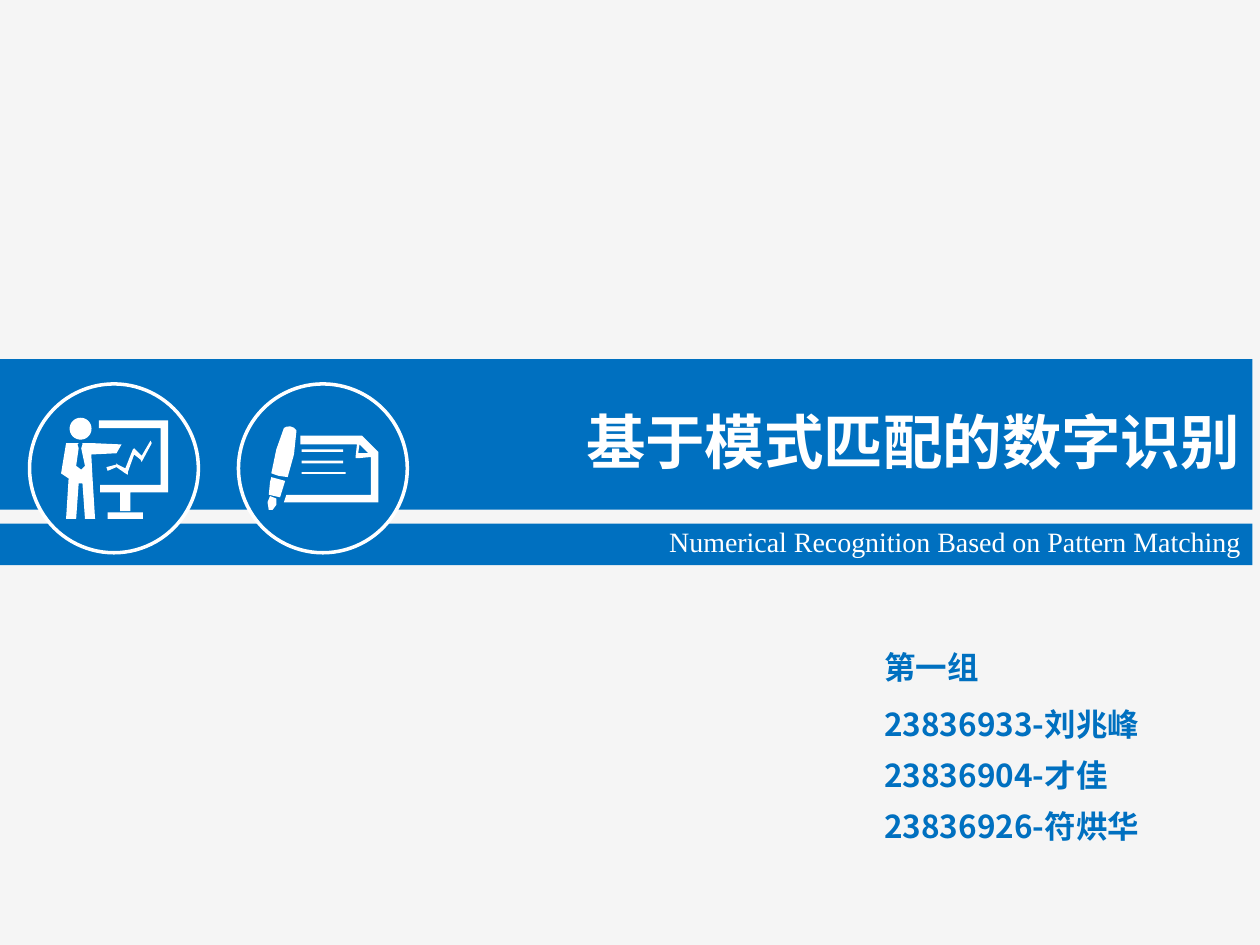
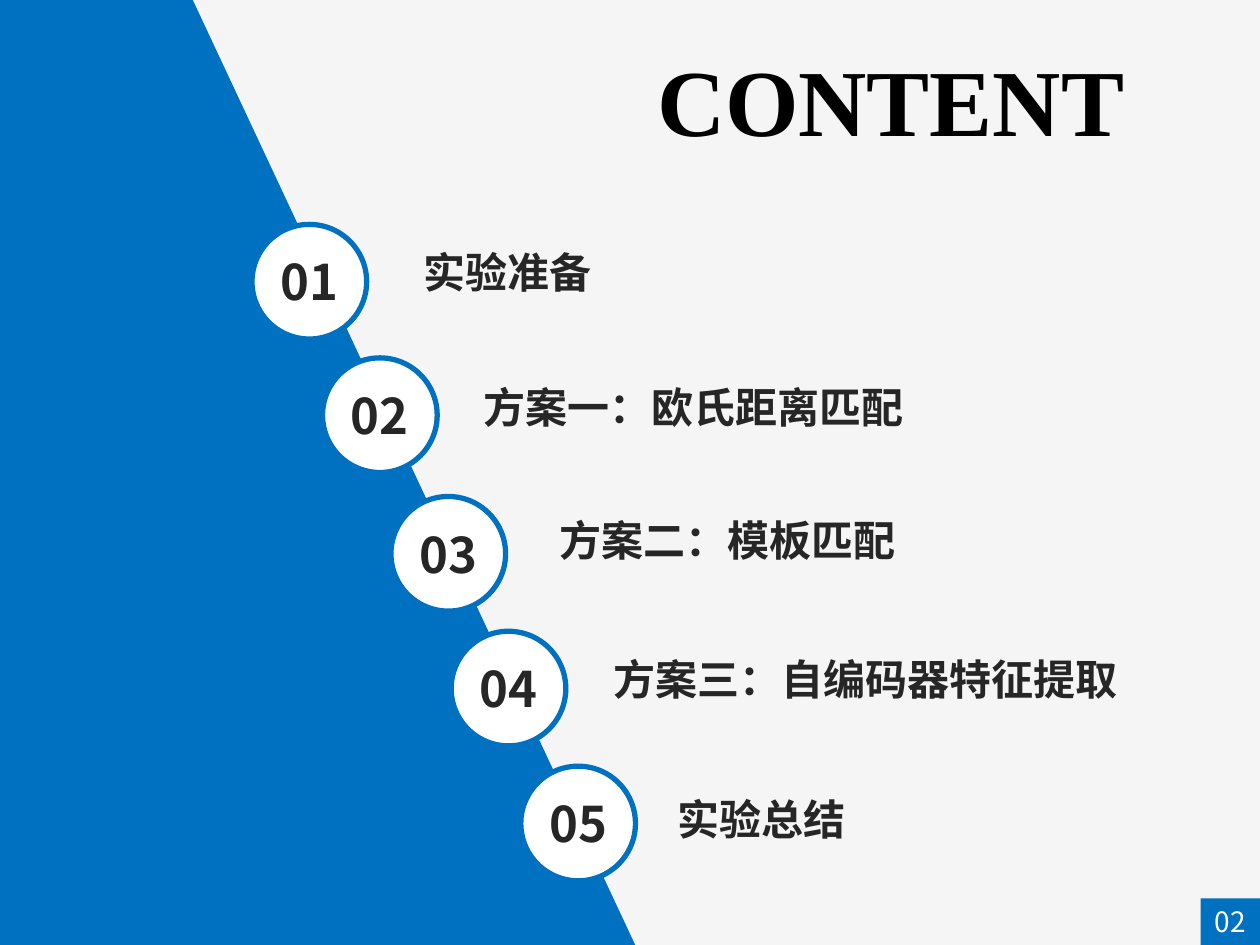
from math import cos, pi, sin

from lxml.etree import SubElement
from pptx import Presentation
from pptx.dml.color import RGBColor
from pptx.enum.shapes import MSO_SHAPE as Preset
from pptx.enum.text import MSO_ANCHOR as Anchor, MSO_AUTO_SIZE as AutoSize, PP_ALIGN as Align
from pptx.oxml.ns import qn
from pptx.util import Pt

BLUE = RGBColor(0x00, 0x70, 0xC0)
PALE = RGBColor(0xF5, 0xF5, 0xF5)
WHITE = RGBColor(0xFF, 0xFF, 0xFF)
BLACK = RGBColor(0x00, 0x00, 0x00)
DARK = RGBColor(0x26, 0x26, 0x26)
SANS = "Noto Sans CJK SC"
SERIF = "Times New Roman"
WIDTH, HEIGHT = 720, 540
TITLE_ONLY = 5
ICON_UNIT = 0.72
BADGE = 96.5
DISC = 65.5


def rectangle(left, top, right, bottom):
    return [(left, top), (right, top), (right, bottom), (left, bottom)]


def circle(x, y, radius, steps=36):
    angles = [2 * pi * step / steps for step in range(steps)]
    return [(x + radius * cos(angle), y + radius * sin(angle)) for angle in angles]


PRESENTER_ICON = [
    circle(40.5, 35.5, 8.7),
    [(61, 66), (69, 64), (69, 63), (70, 64), (76, 67), (82, 52), (83, 51), (89, 57),
     (96, 45), (97, 47), (90, 60), (89, 62), (88, 60), (83, 56), (78, 70), (78, 72),
     (76, 71), (69, 66), (62, 69)],
    rectangle(62, 102, 90, 107),
    [(80, 86), (110, 86), (110, 29), (55, 29), (55, 35), (104, 35), (104, 80), (56, 80),
     (56, 86), (72, 86), (72, 101), (80, 101)],
    [(25, 71), (31, 75), (29, 107), (37, 107), (39, 79), (42, 79), (44, 107), (52, 107),
     (50, 75), (49, 56), (69, 55), (73, 48), (51, 47), (42, 47), (42, 48), (41, 51),
     (44, 65), (41, 68), (37, 65), (39, 51), (38, 48), (39, 47), (29, 47)],
]
WRITING_ICON = [
    [(36, 35), (38, 34), (41, 33.7), (44, 34.8), (46, 37), (44, 56), (39, 74), (32, 73),
     (26, 71), (30, 52)],
    [(38, 88), (36, 94), (111, 94), (111, 54), (99, 42), (98, 41), (49, 41), (49, 48),
     (94, 48), (93, 57), (93, 59), (95, 59), (105, 58), (105, 88)],
    [(103, 55), (95, 55), (96, 48)],
    rectangle(50, 70, 85, 71.5),
    rectangle(50, 61, 83, 63),
    rectangle(50, 52, 83, 54),
    [(25, 89), (30, 91), (30, 96), (27, 100), (24, 100), (23, 94)],
    [(26, 74), (25, 78), (24, 88), (33, 90), (37, 77)],
]


def points(*lengths):
    return [Pt(length) for length in lengths]


def paint(shape, fill, line=None, line_width=0):
    shape.shadow.inherit = False
    shape.fill.solid()
    shape.fill.fore_color.rgb = fill
    if line is None:
        shape.line.fill.background()
    else:
        shape.line.color.rgb = line
        shape.line.width = Pt(line_width)
    return shape


def add_preset(slide, preset, box, fill, line=None, line_width=0):
    shape = slide.shapes.add_shape(preset, *points(*box))
    return paint(shape, fill, line, line_width)


def add_outline(slide, origin, contours, fill, unit=1):
    scaled = [[points(x * unit, y * unit) for x, y in contour] for contour in contours]
    builder = slide.shapes.build_freeform(*scaled[0][0])
    for index, contour in enumerate(scaled):
        if index:
            builder.move_to(*contour[0])
        builder.add_line_segments(contour[1:], close=True)
    return paint(builder.convert_to_shape(*points(*origin)), fill)


def write(shape, text, size, color, font=SANS, bold=True, align=Align.LEFT,
          spacing=None, anchor=Anchor.TOP):
    frame = shape.text_frame
    frame.word_wrap = True
    frame.auto_size = AutoSize.NONE
    frame.vertical_anchor = anchor
    paragraph = frame.paragraphs[0]
    paragraph.alignment = align
    if spacing:
        paragraph.line_spacing = spacing
    run = paragraph.add_run()
    run.text = text
    run.font.size = Pt(size)
    run.font.bold = bold
    run.font.name = font
    run.font.color.rgb = color
    SubElement(run.font._element, qn("a:ea")).set("typeface", font)


def add_text(slide, box, text, size, color, **style):
    write(slide.shapes.add_textbox(*points(*box)), text, size, color, **style)


def place_title(slide, box, text, size, color, **style):
    title = slide.shapes.title
    title.left, title.top, title.width, title.height = points(*box)
    slide.shapes.element.append(title.element)
    write(title, text, size, color, **style)


def add_badge(slide, left, top, icon):
    add_preset(slide, Preset.OVAL, (left, top, BADGE, BADGE), BLUE, WHITE, 2)
    add_outline(slide, (left, top), icon, WHITE, ICON_UNIT)


def add_title_bands(slide, left, top, width):
    add_preset(slide, Preset.RECTANGLE, (left, top + 94, width, 23.8), BLUE)
    add_preset(slide, Preset.RECTANGLE, (left, top, width, 86), BLUE)
    place_title(slide, (left + 324, top + 12.4, 396, 116), "基于模式匹配的数字识别", 34, WHITE,
                align=Align.RIGHT, spacing=1.25)
    add_text(slide, (left + 308, top + 86.4, 412.5, 29.5),
             "Numerical Recognition Based on Pattern Matching", 16, WHITE,
             font=SERIF, bold=False, align=Align.RIGHT, spacing=1.25)
    for index, icon in enumerate((PRESENTER_ICON, WRITING_ICON)):
        add_badge(slide, left + 21.2 + 119.4 * index, top + 14.2, icon)


def add_members(slide, left, top, width):
    members = ["23836933-刘兆峰", "23836904-才佳", "23836926-符烘华"]
    add_text(slide, (left, top, width, 29), "第一组", 18, BLUE)
    for index, member in enumerate(members):
        add_text(slide, (left, top + 32.6 + 29.3 * index, width, 29), member, 18, BLUE)


def add_slanted_panel(slide, left, top, height):
    outline = [(0, 0), (110.2, 0), (363, height), (0, height)]
    add_outline(slide, (left, top), [outline], BLUE)


def add_agenda_entry(slide, disc_left, disc_top, label_box, number, label):
    add_preset(slide, Preset.OVAL, (disc_left, disc_top, DISC, DISC), WHITE, BLUE, 3)
    add_text(slide, (disc_left + 6.1, disc_top + 12.2, 53.3, 41), f"{number:02d}", 28, DARK,
             align=Align.CENTER)
    add_text(slide, label_box, label, 24, DARK)


def add_page_number(slide, left, top, width, height, number):
    tab = add_preset(slide, Preset.RECTANGLE, (left, top, width, height), BLUE)
    tab.text_frame.margin_left = tab.text_frame.margin_right = 0
    write(tab, f"{number:02d}", 16, WHITE, bold=False, align=Align.CENTER,
          anchor=Anchor.MIDDLE)


def build_cover(slide):
    add_title_bands(slide, -4.3, 205.2, WIDTH)
    add_members(slide, 498.2, 366.5, 202.3)


def build_agenda(slide):
    entries = [
        (144, 128.2, 234.7, 137.5, 440, "实验准备"),
        (184.3, 204.5, 269.3, 214.6, 394, "方案一：欧氏距离匹配"),
        (223.4, 283.7, 312.5, 290.2, 393, "方案二：模板匹配"),
        (257.8, 360.7, 343.4, 370.1, 376, "方案三：自编码器特征提取"),
        (297.6, 437.8, 380.2, 450, 339, "实验总结"),
    ]
    add_slanted_panel(slide, 0, 0, HEIGHT)
    place_title(slide, (343.4, 20.2, 331.2, 72.7), "CONTENT", 54, BLACK, font=SERIF,
                align=Align.CENTER)
    for number, (disc_left, disc_top, left, top, width, label) in enumerate(entries, 1):
        add_agenda_entry(slide, disc_left, disc_top, (left, top, width, 36), number, label)
    add_page_number(slide, 686, 513.4, 34, 26.6, 2)


presentation = Presentation()
presentation.slide_width, presentation.slide_height = points(WIDTH, HEIGHT)
background = presentation.slide_master.background.fill
background.solid()
background.fore_color.rgb = PALE
for build in (build_cover, build_agenda):
    build(presentation.slides.add_slide(presentation.slide_layouts[TITLE_ONLY]))
presentation.save("out.pptx")
